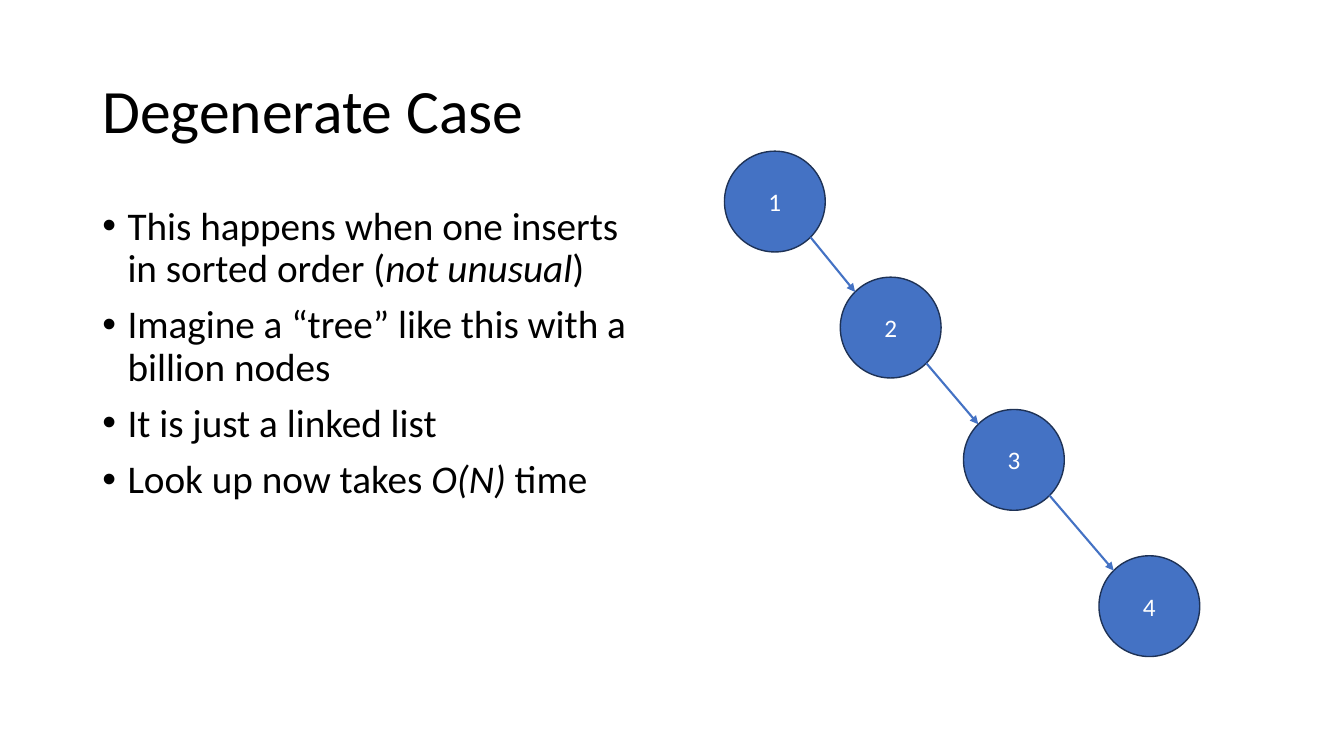
from math import sqrt

from lxml.etree import SubElement
from pptx import Presentation
from pptx.dml.color import RGBColor
from pptx.enum.shapes import MSO_CONNECTOR as Connector, MSO_SHAPE as Shape
from pptx.enum.text import MSO_ANCHOR as Anchor, PP_ALIGN as Align
from pptx.oxml.ns import qn
from pptx.util import Pt

BLACK = RGBColor(0x00, 0x00, 0x00)
WHITE = RGBColor(0xFF, 0xFF, 0xFF)
BLUE = RGBColor(0x44, 0x72, 0xC4)
NAVY = RGBColor(0x1E, 0x32, 0x56)

TITLE_FONT = {"name": "Calibri", "size": Pt(44)}
BULLET_FONT = {"name": "Calibri", "size": Pt(28)}
NODE_FONT = {"name": "Calibri", "size": Pt(18)}

NODE_SIZE = 72
# Distance from a node's bounding box to its circle along the diagonal
DIAGONAL_INSET = NODE_SIZE * (1 - sqrt(0.5)) / 2

# Each bullet is a list of (text, italic) spans
BULLETS = [
    [("This happens when one inserts in sorted order (", False),
     ("not unusual", True), (")", False)],
    [("Imagine a “tree” like this with a billion nodes", False)],
    [("It is just a linked list", False)],
    [("Look up now takes ", False), ("O(N)", True), (" time", False)],
]
NODES = [("1", 517.5, 108), ("2", 600.25, 198), ("3", 688.25, 292.5), ("4", 785, 397)]


def apply_format(target, values, color=None):
    for name, value in values.items():
        setattr(target, name, value)
    if color is not None:
        target.color.rgb = color


def add_text_box(page, left, top, width, height, anchor):
    box = page.shapes.add_textbox(Pt(left), Pt(top), Pt(width), Pt(height))
    frame = box.text_frame
    apply_format(frame, {"word_wrap": True, "vertical_anchor": anchor})
    return frame


def add_title(page, text):
    para = add_text_box(page, 66, 28.75, 828, 104.5, Anchor.MIDDLE).paragraphs[0]
    para.text = text
    para.line_spacing = 0.9
    apply_format(para.font, TITLE_FONT, BLACK)


def add_bullets(page, bullets):
    frame = add_text_box(page, 66, 143.75, 408, 342.5, Anchor.TOP)
    for index, spans in enumerate(bullets):
        para = frame.add_paragraph() if index else frame.paragraphs[0]
        apply_format(para, {"line_spacing": 0.9, "space_before": Pt(10 if index else 0)})
        properties = para._p.get_or_add_pPr()
        properties.set("marL", str(Pt(18)))
        properties.set("indent", str(-Pt(18)))
        SubElement(properties, qn("a:buFont"), typeface="Arial")
        SubElement(properties, qn("a:buChar"), char="•")
        for text, italic in spans:
            span = para.add_run()
            span.text = text
            apply_format(span.font, {**BULLET_FONT, "italic": italic}, BLACK)


def add_node(page, label, left, top):
    node = page.shapes.add_shape(Shape.OVAL, Pt(left), Pt(top), Pt(NODE_SIZE), Pt(NODE_SIZE))
    node.shadow.inherit = False
    node.fill.solid()
    node.fill.fore_color.rgb = BLUE
    apply_format(node.line, {"width": Pt(1)}, NAVY)
    node.text_frame.vertical_anchor = Anchor.MIDDLE
    para = node.text_frame.paragraphs[0]
    para.text = label
    para.alignment = Align.CENTER
    apply_format(para.font, NODE_FONT, WHITE)


def add_arrow(page, parent, child):
    reach = NODE_SIZE - DIAGONAL_INSET
    start = [Pt(value + reach) for value in parent[1:]]
    end = [Pt(value + DIAGONAL_INSET) for value in child[1:]]
    arrow = page.shapes.add_connector(Connector.STRAIGHT, *start, *end)
    apply_format(arrow.line, {"width": Pt(1.5)}, BLUE)
    SubElement(arrow.line._get_or_add_ln(), qn("a:tailEnd"), type="triangle")
    SubElement(arrow._element.spPr, qn("a:effectLst"))


def main():
    deck = Presentation()
    deck.slide_width, deck.slide_height = Pt(960), Pt(540)
    page = deck.slides.add_slide(deck.slide_layouts[6])

    # Title and bullets
    add_title(page, "Degenerate Case")
    add_bullets(page, BULLETS)

    # Tree that degenerates into a chain
    for node in NODES:
        add_node(page, *node)
    for parent, child in zip(NODES, NODES[1:]):
        add_arrow(page, parent, child)

    deck.save("out.pptx")


if __name__ == "__main__":
    main()
